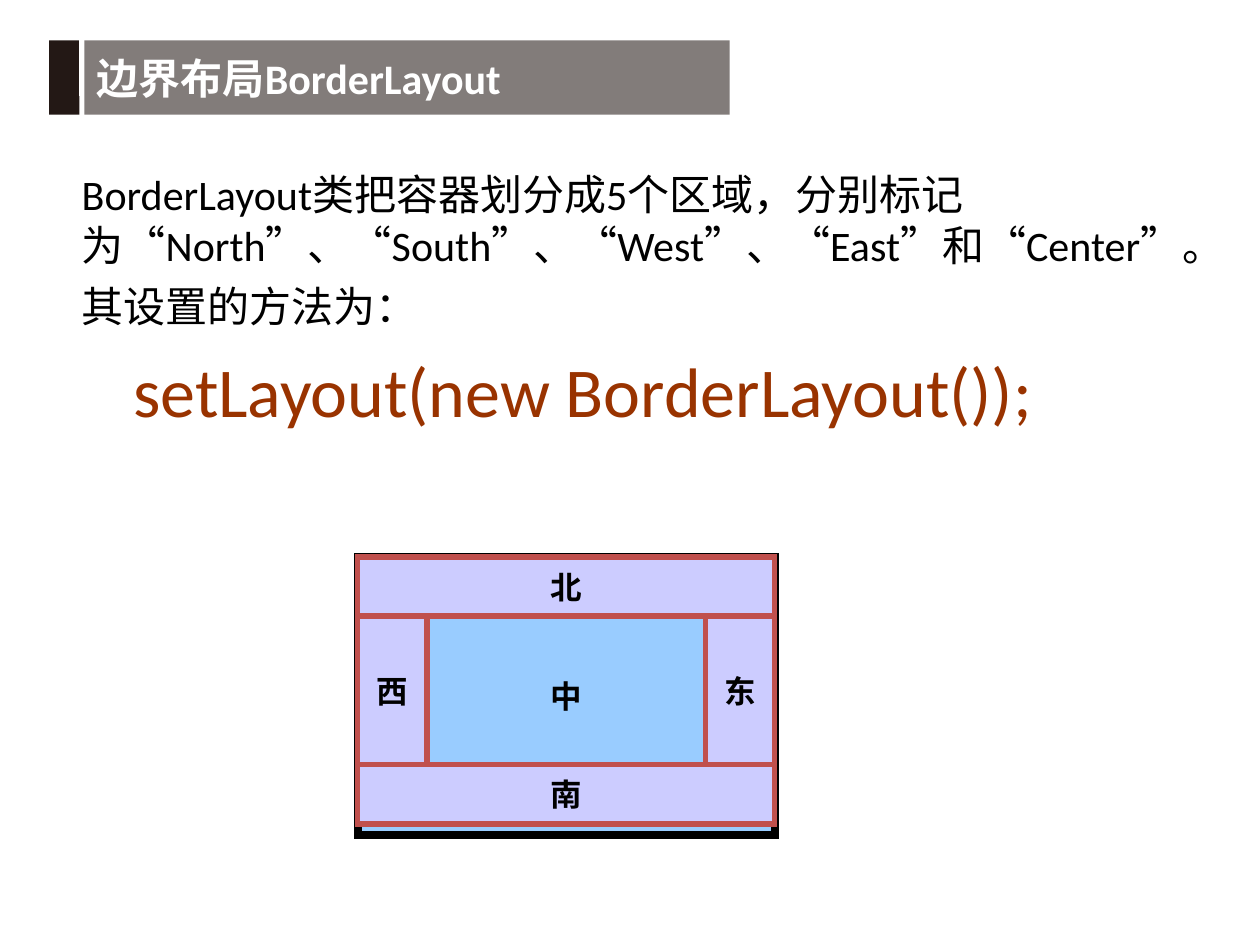
from dataclasses import dataclass

from lxml import etree
from pptx import Presentation
from pptx.dml.color import RGBColor
from pptx.enum.shapes import MSO_CONNECTOR, MSO_SHAPE
from pptx.enum.text import MSO_ANCHOR, PP_ALIGN
from pptx.oxml.ns import qn
from pptx.util import Inches, Pt

RECT = MSO_SHAPE.RECTANGLE
STRAIGHT = MSO_CONNECTOR.STRAIGHT
MIDDLE = MSO_ANCHOR.MIDDLE
LEFT, CENTER = PP_ALIGN.LEFT, PP_ALIGN.CENTER

BLACK = RGBColor(0x00, 0x00, 0x00)
WHITE = RGBColor(0xFF, 0xFF, 0xFF)
INK = RGBColor(0x23, 0x18, 0x15)
GRAY = RGBColor(0x82, 0x7C, 0x7A)
BROWN = RGBColor(0x99, 0x33, 0x00)
BLUE = RGBColor(0x99, 0xCC, 0xFF)
LILAC = RGBColor(0xCC, 0xCC, 0xFF)
RED = RGBColor(0xC0, 0x50, 0x4D)


@dataclass
class Box:
    x: float
    y: float
    w: float
    h: float
    fill: RGBColor
    line: RGBColor | None = None
    width: float = 0


@dataclass
class Label:
    text: str
    size: int
    color: RGBColor = BLACK
    font: str = "Calibri"
    bold: bool = False
    align: PP_ALIGN = LEFT
    before: int = 0
    indent: float = 0


def write(para, label: Label) -> None:
    para.text = label.text
    para.alignment = label.align
    para.space_before = Pt(label.before)
    props = para._p.get_or_add_pPr()
    props.set("hangingPunct", "0")
    if label.indent:
        props.set("marL", str(Inches(label.indent)))
    font = para.runs[0].font
    font.name, font.size, font.bold = label.font, Pt(label.size), label.bold
    font.color.rgb = label.color


def draw(slide, box: Box, label: Label | None = None, wrap: bool = True) -> None:
    shape = slide.shapes.add_shape(
        RECT, Inches(box.x), Inches(box.y), Inches(box.w), Inches(box.h))
    shape.shadow.inherit = False
    shape.fill.solid()
    shape.fill.fore_color.rgb = box.fill
    if box.line is None:
        shape.line.fill.background()
    else:
        shape.line.color.rgb = box.line
        shape.line.width = Pt(box.width)
        # Square corners
        stroke = shape._element.spPr.find(qn("a:ln"))
        etree.SubElement(stroke, qn("a:miter")).set("lim", "800000")
    if label:
        frame = shape.text_frame
        frame.vertical_anchor = MIDDLE
        frame.word_wrap = wrap
        write(frame.paragraphs[0], label)


def head(slide) -> None:
    top, high = 0.32, 0.59
    draw(slide, Box(0.39, top, 0.24, high, INK))
    rule = slide.shapes.add_connector(
        STRAIGHT, Inches(0.63), Inches(top), Inches(0.63), Inches(0.76))
    rule.line.color.rgb = WHITE
    rule.line.width = Pt(0.75)
    etree.SubElement(rule._element.spPr, qn("a:effectLst"))
    draw(slide, Box(0.67, top, 5.12, high, GRAY),
         Label("边界布局BorderLayout", 24, WHITE, bold=True))


def body(slide) -> None:
    area = slide.shapes.add_textbox(
        Inches(0.55), Inches(1.29), Inches(9.45), Inches(5.75))
    frame = area.text_frame
    frame.word_wrap = True
    labels = [
        Label("BorderLayout类把容器划分成5个区域，分别标记为“North”、“South”、"
              "“West”、“East”和“Center”。", 24, before=6),
        Label("其设置的方法为：", 24, before=6),
        Label("setLayout(new BorderLayout());", 40, BROWN, before=10, indent=0.41),
    ]
    for i, label in enumerate(labels):
        para = frame.add_paragraph() if i else frame.paragraphs[0]
        write(para, label)


def diagram(slide) -> None:
    x, y, wide, high = 2.84, 4.42, 3.31, 2.21
    band, side, mid = 0.47, 0.55, 1.18
    row = y + band

    def edge(left: float, top: float, w: float, h: float) -> Box:
        return Box(left, top, w, h, LILAC, RED, 3)

    areas = [
        ("中", Box(x, y, wide, high, BLUE, BLACK, 4.5)),
        ("北", edge(x, y, wide, band)),
        ("西", edge(x, row, side, mid)),
        ("南", edge(x, row + mid, wide, band)),
        ("东", edge(x + wide - side, row, side, mid)),
    ]
    for name, box in areas:
        draw(slide, box, Label(name, 18, font="Arial", bold=True, align=CENTER),
             wrap=False)


def main() -> None:
    deck = Presentation()
    deck.slide_width, deck.slide_height = Inches(10), Inches(7.5)
    slide = deck.slides.add_slide(deck.slide_layouts[6])
    # Title bar, explanation, then the five regions
    head(slide)
    body(slide)
    diagram(slide)
    deck.save("out.pptx")


if __name__ == "__main__":
    main()
